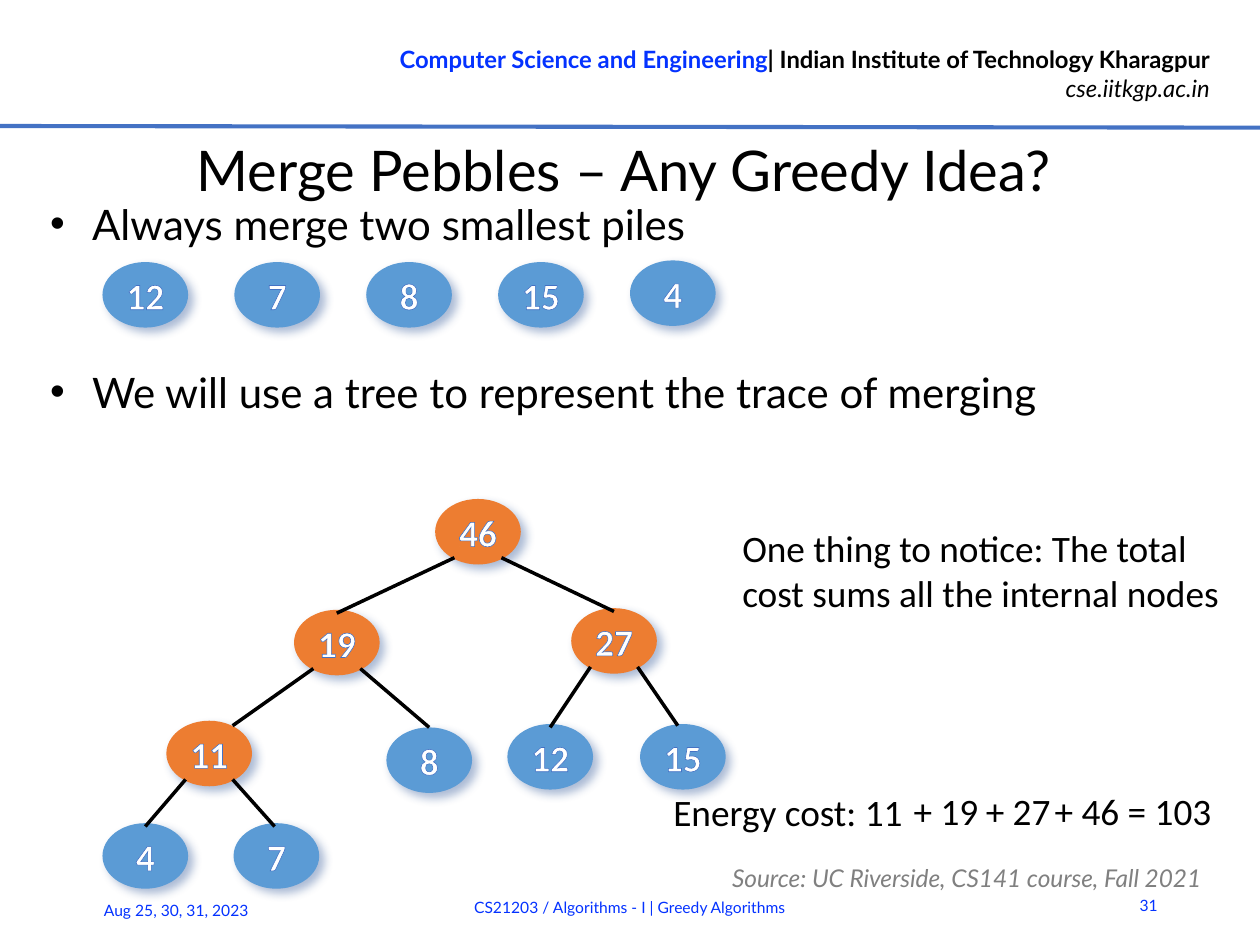
from lxml import etree
from pptx import Presentation
from pptx.dml.color import RGBColor
from pptx.enum.shapes import MSO_CONNECTOR, MSO_SHAPE
from pptx.enum.text import MSO_ANCHOR, PP_ALIGN
from pptx.oxml.ns import qn
from pptx.util import Inches, Pt

LEFT, CENTER, RIGHT = PP_ALIGN.LEFT, PP_ALIGN.CENTER, PP_ALIGN.RIGHT
TOP, MIDDLE = MSO_ANCHOR.TOP, MSO_ANCHOR.MIDDLE
OVAL, STRAIGHT = MSO_SHAPE.OVAL, MSO_CONNECTOR.STRAIGHT

COLORS = {
    "text": "000000", "accent": "0432FF", "rule": "4472C4", "source": "808080",
    "pile": "5B9BD5", "merged": "ED7D31", "number": "FFFFFF", "shadow": "2F5597",
}

# Content
HEADER = [
    [("Computer Science and Engineering", "accent", True, False),
     ("| Indian Institute of Technology Kharagpur", "text", True, False)],
    [("cse.iitkgp.ac.in", "text", False, True)],
]
TITLE = "Merge Pebbles – Any Greedy Idea?"
BULLETS = [("Always merge two smallest piles", 0),
           ("We will use a tree to represent the trace of merging", 51)]
PILES = [("12", 1.56), ("7", 1.56), ("8", 1.56), ("15", 1.56), ("4", 1.55)]
# Tree nodes: name -> (number, left, top, colour)
TREE = {
    "root": ("46", 2.59, 2.97, "merged"),
    "left": ("19", 1.75, 3.63, "merged"),
    "right": ("27", 3.4, 3.62, "merged"),
    "low": ("11", 0.99, 4.29, "merged"),
    "leaf8": ("8", 2.3, 4.33, "pile"),
    "leaf12": ("12", 3.02, 4.31, "pile"),
    "leaf15": ("15", 3.81, 4.31, "pile"),
    "leaf4": ("4", 0.61, 4.9, "pile"),
    "leaf7": ("7", 1.39, 4.9, "pile"),
}
# Edges: parent, child, end offset from the top centre of the child
EDGES = [
    ("root", "left", 0, 0.02), ("root", "right", 0, 0.02),
    ("left", "low", 0.14, 0.03), ("left", "leaf8", 0, 0),
    ("right", "leaf12", 0, 0.02), ("right", "leaf15", -0.03, 0.01),
    ("low", "leaf4", 0, 0.02), ("low", "leaf7", -0.01, 0.02),
]
COST = [("Energy cost: 11", 3.91, 4.65, 1.59), (" + 19", 5.29, 4.64, 0.64),
        (" + 27", 5.72, 4.64, 0.64), (" + 46 = 103", 6.13, 4.64, 1.2)]
NOTICE = "One thing to notice: The total cost sums all the internal nodes"
SOURCE = "Source: UC Riverside, CS141 course, Fall 2021"
FOOTER = [
    ("Aug 25, 30, 31, 2023", 0.52, 5.27, 1.31, LEFT),
    ("CS21203 / Algorithms - I | Greedy Algorithms", 1.24, 5.25, 5.02, CENTER),
    ("31", 6.62, 5.24, 0.37, RIGHT),
]

# Geometry
SLIDE_W = 7.5
NODE_W, NODE_H = 0.51, 0.39
PILE_LEFT, PILE_RIGHT = 0.61, 3.75
PILE_STEP = (PILE_RIGHT - PILE_LEFT) / (len(PILES) - 1)
EDGE_DX, EDGE_DY = 0.14, 0.35

# Slide in 4:3 format
prs = Presentation()
prs.slide_width, prs.slide_height = Inches(SLIDE_W), Inches(SLIDE_W * 3 / 4)
s = prs.slides.add_slide(prs.slide_layouts[6])


def color(name):
    return RGBColor.from_string(COLORS[name])


def add_run(p, text, size, font="Lato", fill="text", bold=False, italic=False):
    r = p.add_run()
    r.text = text
    r.font.size, r.font.name = Pt(size), font
    r.font.bold, r.font.italic = bold, italic
    r.font.color.rgb = color(fill)
    return r


def add_box(x, y, w, h, anchor=TOP, wrap=True):
    tf = s.shapes.add_textbox(Inches(x), Inches(y), Inches(w), Inches(h)).text_frame
    tf.word_wrap, tf.vertical_anchor = wrap, anchor
    return tf


def add_line(x1, y1, x2, y2, fill, width):
    line = s.shapes.add_connector(STRAIGHT, Inches(x1), Inches(y1), Inches(x2), Inches(y2))
    line.line.color.rgb, line.line.width = color(fill), Pt(width)
    etree.SubElement(line._element.spPr, qn("a:effectLst"))


def add_shadow(sp):
    sp.shadow.inherit = False
    effects = sp._element.spPr.find(qn("a:effectLst"))
    shadow = etree.SubElement(effects, qn("a:outerShdw"), blurRad=str(Pt(4)),
                              dist=str(Pt(3)), dir="2700000", algn="tl", rotWithShape="0")
    tint = etree.SubElement(shadow, qn("a:srgbClr"), val=COLORS["shadow"])
    etree.SubElement(tint, qn("a:alpha"), val="40000")


def add_outline(r):
    ln = etree.Element(qn("a:ln"), w=str(Pt(0.8)))
    fill = etree.SubElement(ln, qn("a:solidFill"))
    etree.SubElement(fill, qn("a:srgbClr"), val=COLORS["rule"])
    r.font._element.insert(0, ln)


def add_node(number, x, y, fill):
    sp = s.shapes.add_shape(OVAL, Inches(x), Inches(y), Inches(NODE_W), Inches(NODE_H))
    sp.fill.solid()
    sp.fill.fore_color.rgb = color(fill)
    sp.line.fill.background()
    add_shadow(sp)
    tf = sp.text_frame
    tf.word_wrap, tf.vertical_anchor = False, MIDDLE
    tf.margin_left = tf.margin_right = tf.margin_top = tf.margin_bottom = 0
    p = tf.paragraphs[0]
    p.alignment = CENTER
    add_outline(add_run(p, number, 16, "Calibri", "number", bold=True))


# Header band
tf = add_box(1.91, 0.22, 5.39, 0.44, wrap=False)
for i, runs in enumerate(HEADER):
    p = tf.add_paragraph() if i else tf.paragraphs[0]
    p.alignment = RIGHT
    for text, fill, bold, italic in runs:
        add_run(p, text, 10.2, fill=fill, bold=bold, italic=italic)
add_line(0, 0.75, SLIDE_W, 0.76, "rule", 1.75)

# Title
tf = add_box(0.24, 0.79, 6.94, 0.41, MIDDLE)
tf.margin_left = tf.margin_right = tf.margin_bottom = 0
tf.margin_top = Inches(0.02)
p = tf.paragraphs[0]
p.alignment = CENTER
add_run(p, TITLE, 24)

# Bullets
tf = add_box(0.2, 1.18, 7.03, 4.05)
for i, (text, before) in enumerate(BULLETS):
    p = tf.add_paragraph() if i else tf.paragraphs[0]
    p.line_spacing, p.space_before, p.space_after = Pt(18), Pt(before), Pt(3)
    pPr = p._p.get_or_add_pPr()
    pPr.set("marL", str(Inches(0.25)))
    pPr.set("indent", str(Inches(-0.25)))
    etree.SubElement(pPr, qn("a:buFont"), typeface="Arial")
    etree.SubElement(pPr, qn("a:buChar"), char="•")
    add_run(p, text, 18)

# Source credit
p = add_box(4.26, 5.09, 3.18, 0.2, MIDDLE).paragraphs[0]
p.line_spacing = Pt(18)
add_run(p, SOURCE, 10.5, fill="source", italic=True)

# Row of piles
for i, (number, y) in enumerate(PILES):
    add_node(number, PILE_LEFT + i * PILE_STEP, y, "pile")

# Merge tree
for node in TREE.values():
    add_node(*node)
for parent, child, dx, dy in EDGES:
    _, px, py, _ = TREE[parent]
    _, cx, cy, _ = TREE[child]
    side = EDGE_DX if cx > px else -EDGE_DX
    add_line(px + NODE_W / 2 + side, py + EDGE_DY,
             cx + NODE_W / 2 + dx, cy + dy, "text", 1.5)

# Energy cost and remark
for text, x, y, w in COST:
    add_run(add_box(x, y, w, 0.37, wrap=False).paragraphs[0], text, 16, "Calibri")
add_run(add_box(4.32, 3.08, 3.12, 0.64).paragraphs[0], NOTICE, 16, "Calibri")

# Footer
for text, x, y, w, align in FOOTER:
    p = add_box(x, y, w, 0.3, MIDDLE).paragraphs[0]
    p.alignment = align
    add_run(p, text, 6.7, fill="accent")

prs.save("out.pptx")
